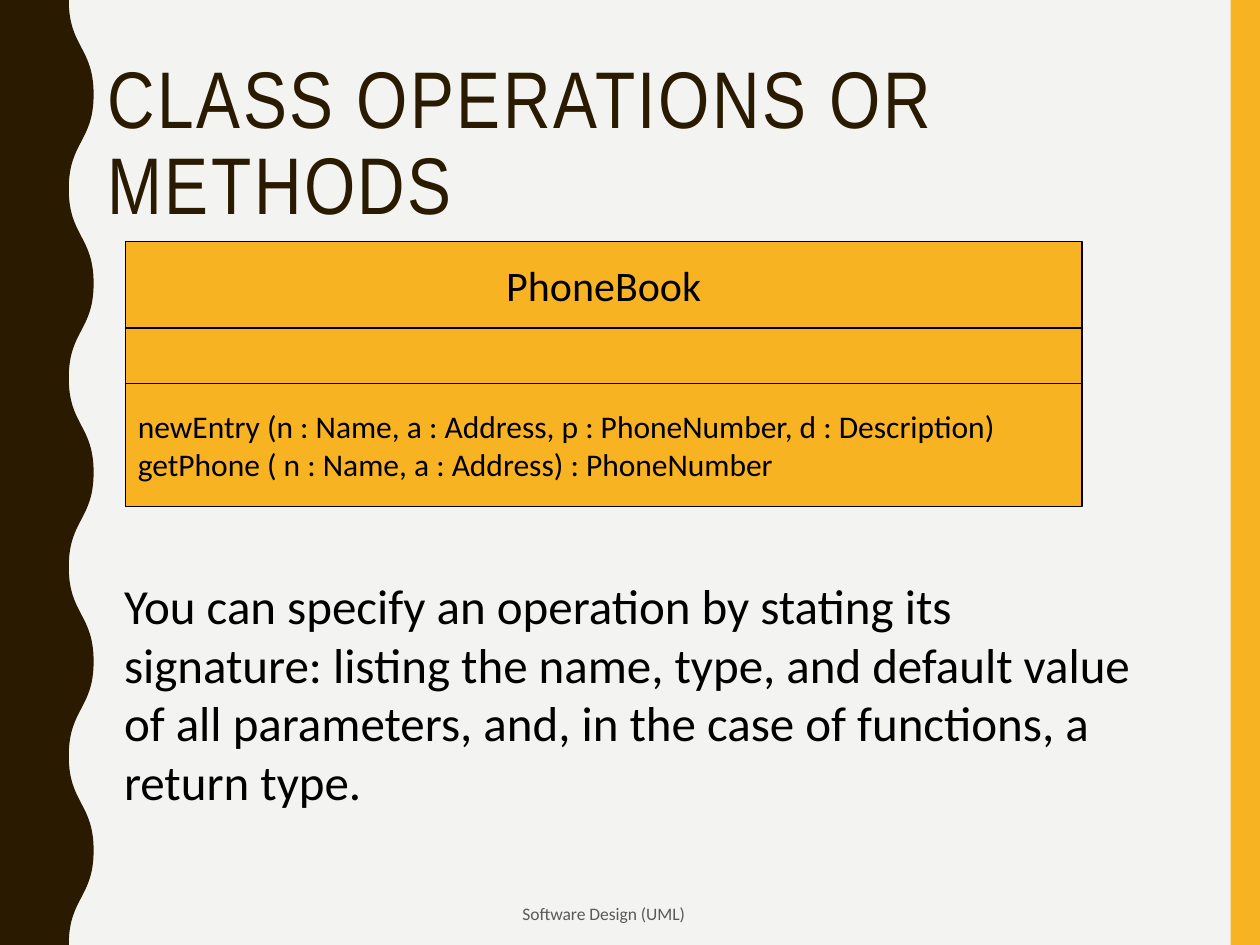
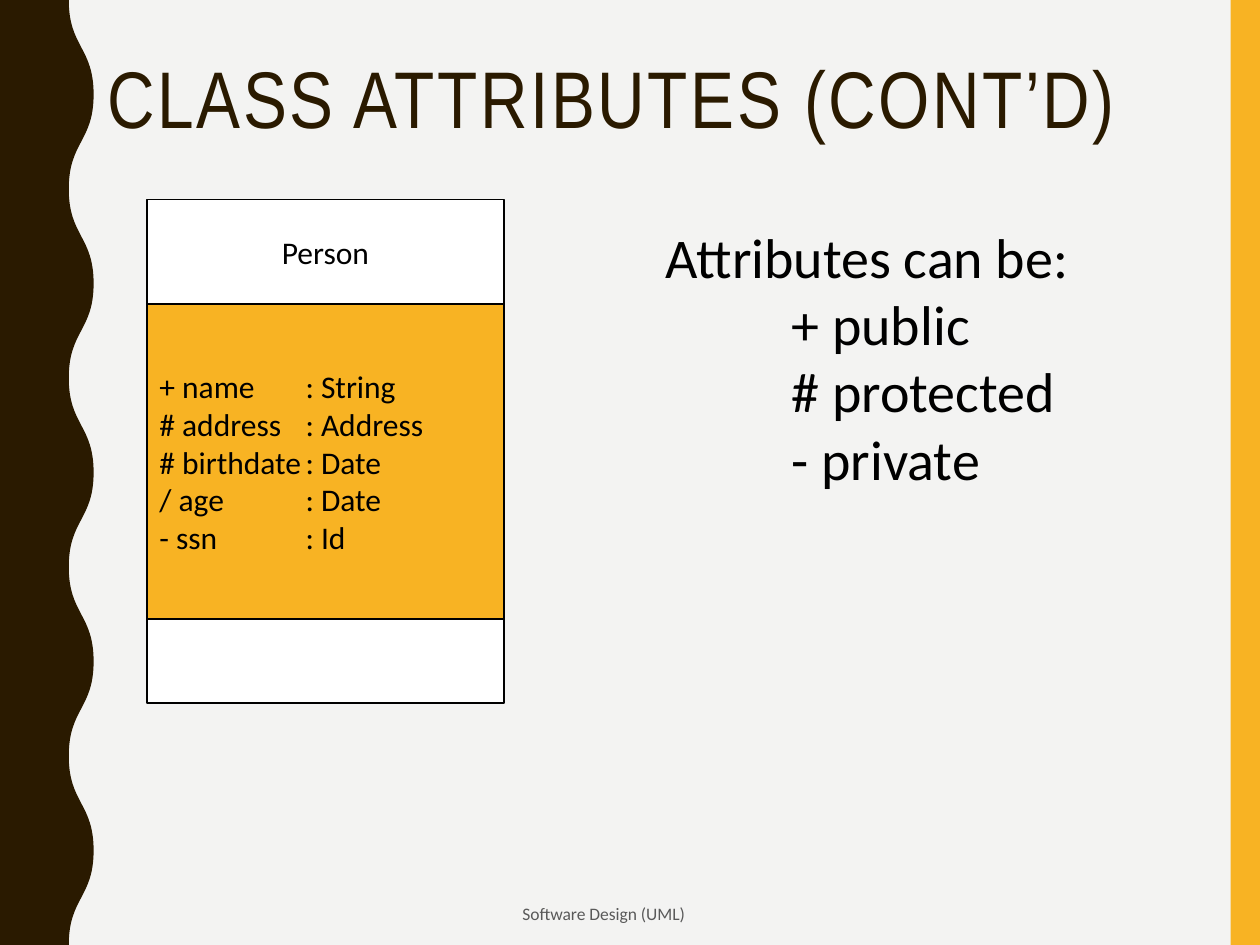
from lxml.etree import SubElement
from pptx import Presentation
from pptx.dml.color import RGBColor
from pptx.enum.shapes import MSO_SHAPE
from pptx.enum.text import MSO_ANCHOR, PP_ALIGN
from pptx.oxml.ns import qn
from pptx.util import Pt

BLACK = RGBColor(0x00, 0x00, 0x00)
WHITE = RGBColor(0xFF, 0xFF, 0xFF)
BROWN = RGBColor(0x2A, 0x1A, 0x00)
GOLD = RGBColor(0xF8, 0xB3, 0x23)
GRAY = RGBColor(0x59, 0x59, 0x59)
PAPER = RGBColor(0xF3, 0xF3, 0xF2)
WIDE, HIGH = 720, 540
BODY, HEAD = "Calibri", "Arial Narrow"


def write(shape, lines, size, color=BLACK, font=BODY, align=PP_ALIGN.LEFT,
          anchor=MSO_ANCHOR.TOP, stop=None):
    frame = shape.text_frame
    frame.word_wrap = True
    frame.vertical_anchor = anchor
    for index, line in enumerate(lines):
        para = frame.add_paragraph() if index else frame.paragraphs[0]
        para.text = line
        para.alignment = align
        if stop:
            tabs = SubElement(para._p.get_or_add_pPr(), qn("a:tabLst"))
            SubElement(tabs, qn("a:tab"), pos=str(Pt(stop)), algn="l")
        para.font.size = Pt(size)
        para.font.name = font
        para.font.color.rgb = color
    return frame.paragraphs


def add_text(slide, box, lines, size, **style):
    shape = slide.shapes.add_textbox(*map(Pt, box))
    return write(shape, lines, size, **style)


def paint(shape, fill, line=None):
    shape.shadow.inherit = False
    shape.fill.solid()
    shape.fill.fore_color.rgb = fill
    if line is None:
        shape.line.fill.background()
    else:
        shape.line.color.rgb = line
        shape.line.width = Pt(0.75)


def add_rect(shapes, box, fill, line=None):
    shape = shapes.add_shape(MSO_SHAPE.RECTANGLE, *map(Pt, box))
    paint(shape, fill, line)
    return shape


def bend(line, start):
    end = line[0]
    middle = (int(start.get("y")) + int(end.get("y"))) // 2
    line.tag = qn("a:cubicBezTo")
    for index, point in enumerate((start, end)):
        guide = end.makeelement(qn("a:pt"), x=point.get("x"), y=str(middle))
        line.insert(index, guide)
    return end


def add_wave(slide, box, inner=39.3, waves=5):
    left, top, width, height = box
    half = height / (2 * waves)
    curve = [(left + (width if turn % 2 else inner), top + turn * half)
             for turn in range(2 * waves + 1)]
    points = curve + [(left, top + height), (left, top)]
    build = slide.shapes.build_freeform(*map(Pt, points[0]))
    build.add_line_segments([(Pt(x), Pt(y)) for x, y in points[1:]])
    shape = build.convert_to_shape()
    start = next(shape._element.iter(qn("a:moveTo")))[0]
    for line in list(shape._element.iter(qn("a:lnTo")))[:2 * waves]:
        start = bend(line, start)
    paint(shape, BROWN)


def add_base(deck, title):
    slide = deck.slides.add_slide(deck.slide_layouts[6])
    slide.background.fill.solid()
    slide.background.fill.fore_color.rgb = PAPER
    add_rect(slide.shapes, (WIDE - 16.8, 0, 16.8, HIGH), GOLD)
    add_wave(slide, (0, 0, 53.5, HIGH))
    head = add_text(slide, (54.4, 30, 618, 42), [title], 45.9,
                    color=BROWN, font=HEAD)[0]
    head.line_spacing = 0.9
    head.runs[0]._r.get_or_add_rPr().set("spc", "150")
    add_text(slide, (186, HIGH - 36, 318, 36), ["Software Design (UML)"], 10,
             color=GRAY, align=PP_ALIGN.CENTER, anchor=MSO_ANCHOR.MIDDLE)
    return slide


def add_class(slide, box, parts):
    left, top, width = box
    group = slide.shapes.add_group_shape()
    for down, high, fill, lines, size, align, stop in parts:
        shape = add_rect(group.shapes, (left, top + down, width, high),
                         fill, BLACK)
        if lines:
            write(shape, lines, size, align=align, anchor=MSO_ANCHOR.MIDDLE,
                  stop=stop)


def add_methods(deck):
    slide = add_base(deck, "CLASS OPERATIONS OR METHODS")
    calls = ["newEntry (n : Name, a : Address, p : PhoneNumber, d : Description)",
             "getPhone ( n : Name, a : Address) : PhoneNumber"]
    add_class(slide, (71.7, 138, 546.6), [
        (0, 49.4, GOLD, ["PhoneBook"], 24, PP_ALIGN.CENTER, None),
        (49.4, 37.4, GOLD, [], 18, PP_ALIGN.LEFT, None),
        (81.3, 70, GOLD, calls, 18, PP_ALIGN.LEFT, None),
    ])
    add_text(slide, (63.8, 325.2, 592.5, 143.3), [
        "You can specify an operation by stating its signature: listing the "
        "name, type, and default value of all parameters, and, in the case "
        "of functions, a return type."], 28)


def add_fields(deck):
    slide = add_base(deck, "CLASS ATTRIBUTES (CONT’D)")
    fields = ["+ name\t: String", "# address\t: Address",
              "# birthdate\t: Date", "/ age\t: Date", "- ssn\t: Id"]
    add_class(slide, (84, 113.8, 204), [
        (0, 60, WHITE, ["Person"], 18, PP_ALIGN.CENTER, None),
        (60, 180, GOLD, fields, 18, PP_ALIGN.LEFT, 83.5),
        (240, 48, WHITE, [], 18, PP_ALIGN.LEFT, None),
    ])
    kinds = ["Attributes can be:", "+ public", "# protected", "- private"]
    paras = add_text(slide, (373.3, 123.6, 249, 201), kinds, 32)
    for para in paras[1:]:
        para._p.get_or_add_pPr().set("marL", str(Pt(72)))


def main():
    deck = Presentation()
    deck.slide_width, deck.slide_height = Pt(WIDE), Pt(HIGH)
    add_methods(deck)
    add_fields(deck)
    deck.save("out.pptx")


if __name__ == "__main__":
    main()
